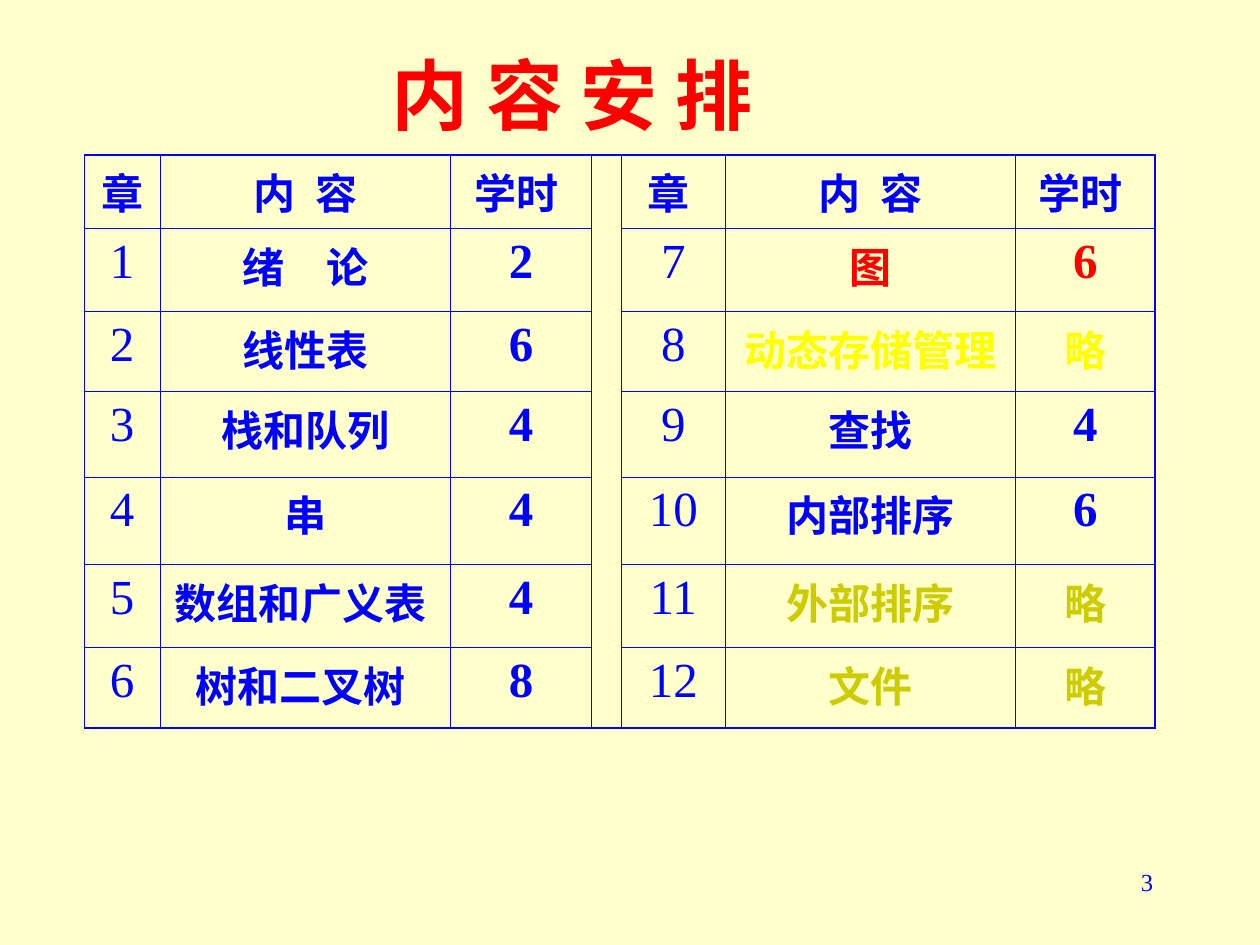
from dataclasses import dataclass

from lxml.etree import SubElement
from pptx import Presentation
from pptx.dml.color import RGBColor as Rgb
from pptx.enum.text import MSO_ANCHOR as Anchor, MSO_AUTO_SIZE as AutoSize, PP_ALIGN as Align
from pptx.oxml.ns import qn
from pptx.util import Inches, Pt


@dataclass(frozen=True)
class Theme:
    paper: str = "FFFFCC"
    ink: str = "0000FF"
    accent: str = "FF0000"
    bright: str = "FFFF00"
    muted: str = "CCCC00"
    title_font: str = "Montserrat"
    body_font: str = "Times New Roman"
    title_size: int = 44
    number_size: int = 28
    label_size: int = 24
    page_size: int = 14
    outer_rule: float = 1.08
    inner_rule: float = 0.45


THEME = Theme()
SLIDE_W, SLIDE_H = Inches(10), Inches(7.5)

COLUMN_WEIGHTS = [60, 231, 112, 24, 82, 231, 111]
ROW_WEIGHTS = [50, 66, 64, 68, 70, 66, 64]
GAP_COLUMN = 3
HEADINGS = ["章", "内 容", "学时 ", "", "章 ", "内 容", "学时 "]
FIRST_HALF = [
    ("绪　论", "2"), ("线性表", "6"), ("栈和队列", "4"),
    ("串", "4"), ("数组和广义表 ", "4"), ("树和二叉树 ", "8"),
]
SECOND_HALF = [
    ("图", "6", THEME.accent), ("动态存储管理", "略", THEME.bright),
    ("查找", "4", THEME.ink), ("内部排序", "6", THEME.ink),
    ("外部排序", "略", THEME.muted), ("文件", "略", THEME.muted),
]


def share(left, top, width, height):
    return [round(part * whole) for part, whole in
            zip((left, top, width, height), (SLIDE_W, SLIDE_H) * 2)]


def write(paragraph, wording, size, color, font=THEME.body_font, bold=False, align=Align.CENTER):
    paragraph.alignment = align
    run = paragraph.add_run()
    run.text = wording
    run.font.name, run.font.size, run.font.bold = font, Pt(size), bold
    run.font.color.rgb = Rgb.from_string(color)
    return run


def place_title(slide, box):
    title = slide.shapes.title
    title.left, title.top, title.width, title.height = box
    frame = title.text_frame
    frame.auto_size = AutoSize.NONE
    frame.vertical_anchor = Anchor.MIDDLE
    write(frame.paragraphs[0], "内 容 安 排", THEME.title_size, THEME.accent,
          THEME.title_font, bold=True)


def rule_cell(cell, widths):
    properties = cell._tc.get_or_add_tcPr()
    for side, width in zip("LRTB", widths):
        line = SubElement(properties, qn(f"a:ln{side}"), w=str(Pt(width)))
        if width:
            fill = SubElement(line, qn("a:solidFill"))
            SubElement(fill, qn("a:srgbClr"), val=THEME.ink)
        else:
            SubElement(line, qn("a:noFill"))
    cell.fill.background()


def fill_cell(cell, wording, color, bold):
    size = THEME.number_size if wording.isdigit() else THEME.label_size
    paragraph = cell.text_frame.paragraphs[0]
    run = write(paragraph, wording, size, color, bold=bold)
    paragraph.space_before = Pt(size / 4)
    if wording == "内 容":
        run.font._element.set("spc", "300")


def schedule_rows():
    yield [(heading, THEME.ink, True) for heading in HEADINGS]
    chapters = zip(FIRST_HALF, SECOND_HALF)
    for number, ((topic, hours), (topic_2, hours_2, color)) in enumerate(chapters, 1):
        yield [
            (str(number), THEME.ink, False), (topic, THEME.ink, True), (hours, THEME.ink, True),
            ("", THEME.ink, False),
            (str(number + len(FIRST_HALF)), THEME.ink, False),
            (topic_2, color, True), (hours_2, color, True),
        ]


def place_schedule(slide, box):
    left, top, width, height = box
    last_row, last_column = len(ROW_WEIGHTS) - 1, len(COLUMN_WEIGHTS) - 1
    table = slide.shapes.add_table(last_row + 1, last_column + 1, left, top, width, height).table
    table.first_row = table.horz_banding = False
    for column, weight in zip(table.columns, COLUMN_WEIGHTS):
        column.width = round(width * weight / sum(COLUMN_WEIGHTS))
    for row, weight in zip(table.rows, ROW_WEIGHTS):
        row.height = round(height * weight / sum(ROW_WEIGHTS))
    table.cell(0, GAP_COLUMN).merge(table.cell(last_row, GAP_COLUMN))

    for r, entries in enumerate(schedule_rows()):
        for c, (wording, color, bold) in enumerate(entries):
            cell = table.cell(r, c)
            inner_level = 0 if c == GAP_COLUMN else THEME.inner_rule
            bottom_row = last_row if not cell.is_merge_origin else r
            rule_cell(cell, [
                THEME.outer_rule if c == 0 else THEME.inner_rule,
                THEME.outer_rule if c == last_column else THEME.inner_rule,
                THEME.outer_rule if r == 0 else inner_level,
                THEME.outer_rule if r == bottom_row else inner_level,
            ])
            if wording:
                fill_cell(cell, wording, color, bold)


def place_page_number(slide, box):
    frame = slide.shapes.add_textbox(*box).text_frame
    frame.word_wrap = True
    write(frame.paragraphs[0], "3", THEME.page_size, THEME.ink, align=Align.RIGHT)


def main():
    deck = Presentation()
    deck.slide_width, deck.slide_height = SLIDE_W, SLIDE_H
    slide = deck.slides.add_slide(deck.slide_layouts[5])
    slide.background.fill.solid()
    slide.background.fill.fore_color.rgb = Rgb.from_string(THEME.paper)
    place_title(slide, share(0.258, 0.044, 0.392, 0.11))
    place_schedule(slide, share(0.067, 0.164, 0.85, 0.595))
    place_page_number(slide, share(0.717, 0.911, 0.208, 0.067))
    deck.save("out.pptx")


if __name__ == "__main__":
    main()
